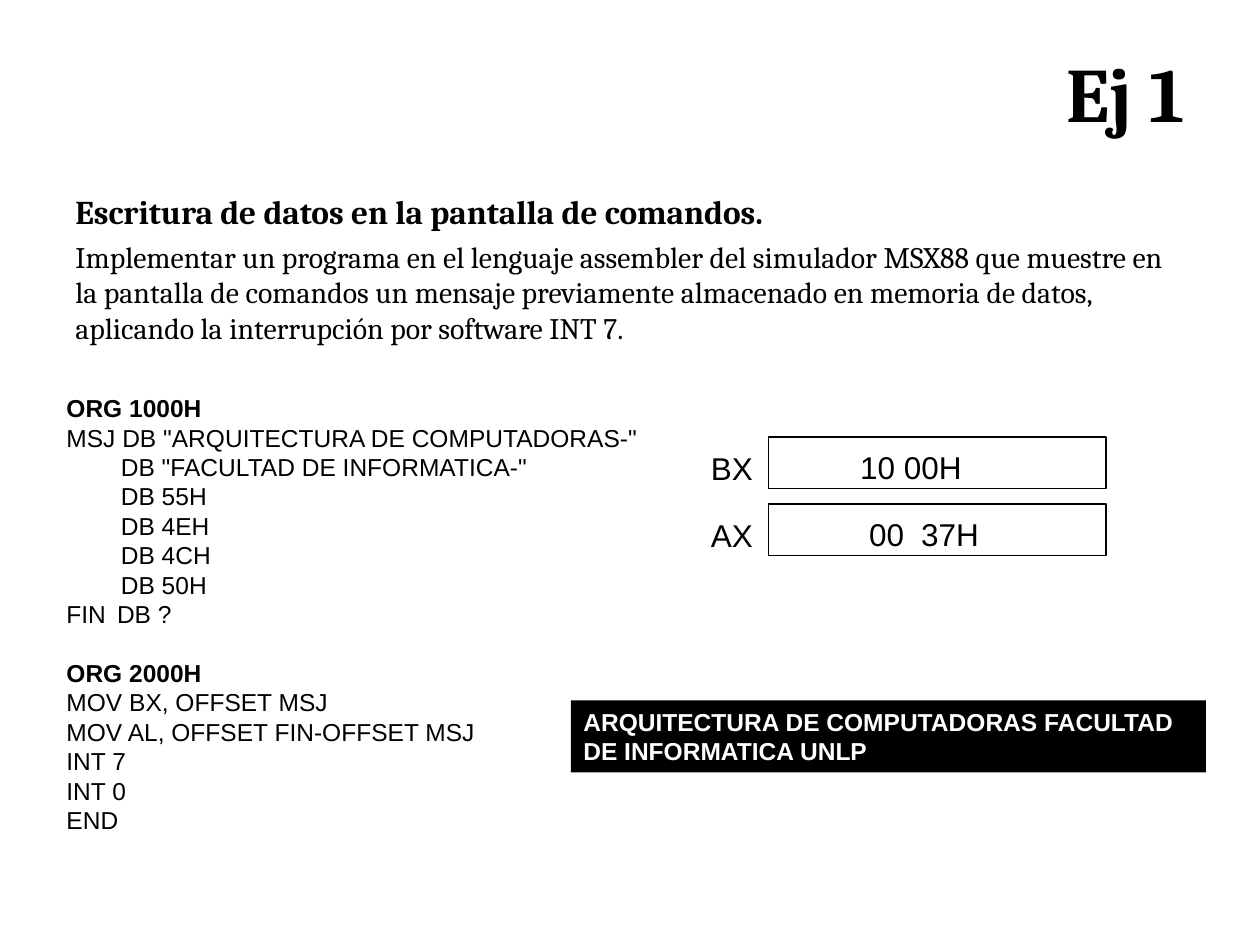
from lxml import etree
from pptx import Presentation
from pptx.dml.color import RGBColor
from pptx.enum.shapes import MSO_SHAPE
from pptx.enum.text import MSO_ANCHOR, PP_ALIGN
from pptx.oxml.ns import qn
from pptx.util import Cm, Pt

RECT = MSO_SHAPE.RECTANGLE
LEFT, RIGHT = PP_ALIGN.LEFT, PP_ALIGN.RIGHT
TOP, MIDDLE = MSO_ANCHOR.TOP, MSO_ANCHOR.MIDDLE
BLACK, WHITE = "000000", "FFFFFF"
SERIF, SANS = "Cambria", "Arial"


def rgb(value):
    return RGBColor.from_string(value)


class SlideBuilder:
    def __init__(self, slide):
        self.s = slide

    def format(self, p, size, font=SANS, bold=False, color=BLACK, before=0, tab=None):
        p.space_before = Pt(before)
        if tab:
            tabs = etree.SubElement(p._p.get_or_add_pPr(), qn("a:tabLst"))
            etree.SubElement(tabs, qn("a:tab"), pos=str(Cm(tab)), algn="l")
        for r in p.runs:
            r.font.name, r.font.size = font, Pt(size)
            r.font.bold, r.font.color.rgb = bold, rgb(color)

    def text(self, x, y, w, h, text, size, align=LEFT, anchor=TOP, wrap=True, **style):
        sp = self.s.shapes.add_textbox(Cm(x), Cm(y), Cm(w), Cm(h))
        tf = sp.text_frame
        tf.word_wrap, tf.vertical_anchor = wrap, anchor
        tf.text = text
        for p in tf.paragraphs:
            p.alignment = align
            self.format(p, size, **style)
        return tf

    def box(self, x, y, w, h, fill=None):
        sp = self.s.shapes.add_shape(RECT, Cm(x), Cm(y), Cm(w), Cm(h))
        sp.shadow.inherit = False
        if fill:
            sp.fill.solid()
            sp.fill.fore_color.rgb = rgb(fill)
            sp.line.fill.background()
        else:
            sp.fill.background()
            sp.line.color.rgb = rgb(BLACK)
            sp.line.width = Pt(0.75)
        return sp

    def banner(self, x, y, w, h, text, size):
        tf = self.box(x, y, w, h, BLACK).text_frame
        tf.word_wrap, tf.vertical_anchor = True, TOP
        tf.text = text
        p = tf.paragraphs[0]
        p.alignment = LEFT
        self.format(p, size, bold=True, color=WHITE)

    def code(self, x, y, w, h, sections, size):
        lines = "\n".join(sections)
        tf = self.text(x, y, w, h, lines, size)
        for i, p in enumerate(tf.paragraphs):
            heading = p.text.startswith("ORG")
            gap = size * 1.2 if heading and i else 0
            self.format(p, size, bold=heading, before=gap, tab=1.02)


prs = Presentation()
prs.slide_width, prs.slide_height = Cm(25.4), Cm(19.05)
b = SlideBuilder(prs.slides.add_slide(prs.slide_layouts[6]))

# Title
b.text(1.27, 0.76, 22.86, 2.16, "Ej 1", 44, RIGHT, MIDDLE, font=SERIF, bold=True)

# Exercise statement
statement = b.text(
    1.27, 3.73, 22.86, 3.6,
    "Escritura de datos en la pantalla de comandos.\n"
    "Implementar un programa en el lenguaje assembler del simulador MSX88 que "
    "muestre en la pantalla de comandos un mensaje previamente almacenado en "
    "memoria de datos, aplicando la interrupción por software INT 7.",
    17, font=SERIF)
b.format(statement.paragraphs[0], 19, SERIF, bold=True)
b.format(statement.paragraphs[1], 17, SERIF, before=4.2)

# Assembler program: data, then instructions
DATA = """ORG 1000H
MSJ DB "ARQUITECTURA DE COMPUTADORAS-"
        DB "FACULTAD DE INFORMATICA-"
        DB 55H
        DB 4EH
        DB 4CH
        DB 50H
FIN \tDB ?"""
PROGRAM = """ORG 2000H
MOV BX, OFFSET MSJ
MOV AL, OFFSET FIN-OFFSET MSJ
INT 7
INT 0
END"""
b.code(1.09, 7.8, 12.7, 9.14, [DATA, PROGRAM], 14)

# Registers
registers = [("BX", "10 00H", 17.09), ("AX", "00\t37H", 17.27)]
for i, (name, value, value_x) in enumerate(registers):
    y = 8.81 + i * 1.35
    b.box(15.49, y, 6.81, 1.04)
    b.text(14.08, y + 0.11, 1.35, 1.02, name, 18, wrap=False)
    b.text(value_x, y + 0.1, 3.2, 1.02, value, 18, tab=1.05)

# Screen output
b.banner(11.51, 14.12, 12.8, 1.45,
         "ARQUITECTURA DE COMPUTADORAS FACULTAD DE INFORMATICA UNLP", 14)

prs.save("out.pptx")
